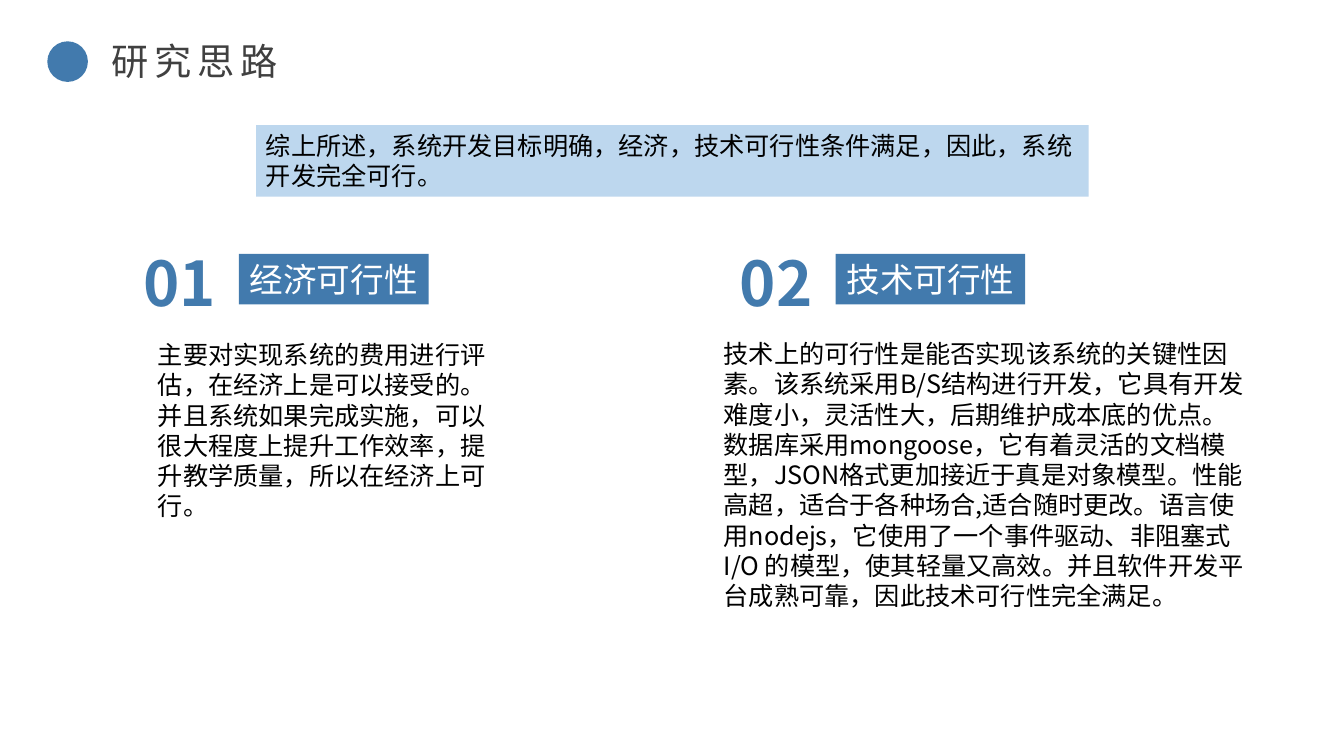
"""Build the research approach slide with its conclusion and two feasibility columns."""
from lxml.etree import SubElement
from pptx import Presentation
from pptx.dml.color import RGBColor
from pptx.enum.shapes import MSO_SHAPE as Shape
from pptx.enum.text import MSO_ANCHOR as Anchor, MSO_AUTO_SIZE as AutoSize, PP_ALIGN as Align
from pptx.oxml.ns import qn
from pptx.util import Pt

BLUE = RGBColor(0x42, 0x7A, 0xAD)
PALE_BLUE = RGBColor(0xBD, 0xD7, 0xEE)
GREY = RGBColor(0x40, 0x40, 0x40)
BLACK = RGBColor(0, 0, 0)
WHITE = RGBColor(0xFF, 0xFF, 0xFF)
FONT = "Noto Sans CJK SC"

prs = Presentation()
prs.slide_width, prs.slide_height = Pt(960), Pt(540)
slide = prs.slides.add_slide(prs.slide_layouts[6])


def add_filled(kind, box, color):
    """Add a flat shape without outline."""
    shape = slide.shapes.add_shape(kind, *map(Pt, box))
    shape.fill.solid()
    shape.fill.fore_color.rgb = color
    shape.line.fill.background()
    shape.shadow.inherit = False
    return shape


def write(shape, text, size, color, align=Align.LEFT, wrap=True):
    """Write one paragraph and return its font."""
    frame = shape.text_frame
    frame.word_wrap = wrap
    frame.auto_size = AutoSize.SHAPE_TO_FIT_TEXT
    frame.vertical_anchor = Anchor.TOP
    paragraph = frame.paragraphs[0]
    paragraph.add_run().text = text
    paragraph.alignment = align
    font = paragraph.font
    font.size = Pt(size)
    font.color.rgb = color
    font.name = FONT
    SubElement(paragraph._p.pPr.find(qn("a:defRPr")), qn("a:ea"), typeface=FONT)
    return font


add_filled(Shape.OVAL, (33.8, 29.5, 29, 29), BLUE)
title = slide.shapes.add_textbox(Pt(72.7), Pt(23.8), Pt(137.5), Pt(39.6))
write(title, "研究思路", 26.6, GREY, wrap=False)
title.text_frame.paragraphs[0]._p.pPr.find(qn("a:defRPr")).set("spc", "400")

columns = [
    ("01", "经济可行性", (105.8, 239, 263.5, 138.2),
     "主要对实现系统的费用进行评估，在经济上是可以接受的。并且系统如果完成实施，"
     "可以很大程度上提升工作效率，提升教学质量，所以在经济上可行。"),
    ("02", "技术可行性", (509.8, 238.3, 389.5, 203.8),
     "技术上的可行性是能否实现该系统的关键性因素。该系统采用B/S结构进行开发，"
     "它具有开发难度小，灵活性大，后期维护成本底的优点。数据库采用mongoose，"
     "它有着灵活的文档模型，JSON格式更加接近于真是对象模型。性能高超，"
     "适合于各种场合,适合随时更改。语言使用nodejs，它使用了一个事件驱动、"
     "非阻塞式 I/O 的模型，使其轻量又高效。并且软件开发平台成熟可靠，"
     "因此技术可行性完全满足。"),
]
for index, (number, heading, body_box, body) in enumerate(columns):
    left = 85.7 + index * 426.2
    number_box = slide.shapes.add_textbox(Pt(left), Pt(171.4), Pt(85), Pt(60.5))
    write(number_box, number, 44, BLUE, Align.CENTER).bold = True
    heading_box = add_filled(Shape.RECTANGLE, (left + 85, 181.4, 135.4, 36), BLUE)
    write(heading_box, heading, 24, WHITE, Align.CENTER)
    write(slide.shapes.add_textbox(*map(Pt, body_box)), body, 18, BLACK)

conclusion = add_filled(Shape.RECTANGLE, (182.9, 89.3, 594.7, 51.1), PALE_BLUE)
write(conclusion, "综上所述，系统开发目标明确，经济，技术可行性条件满足，因此，系统开发完全可行。", 18, BLACK)

prs.save("out.pptx")
